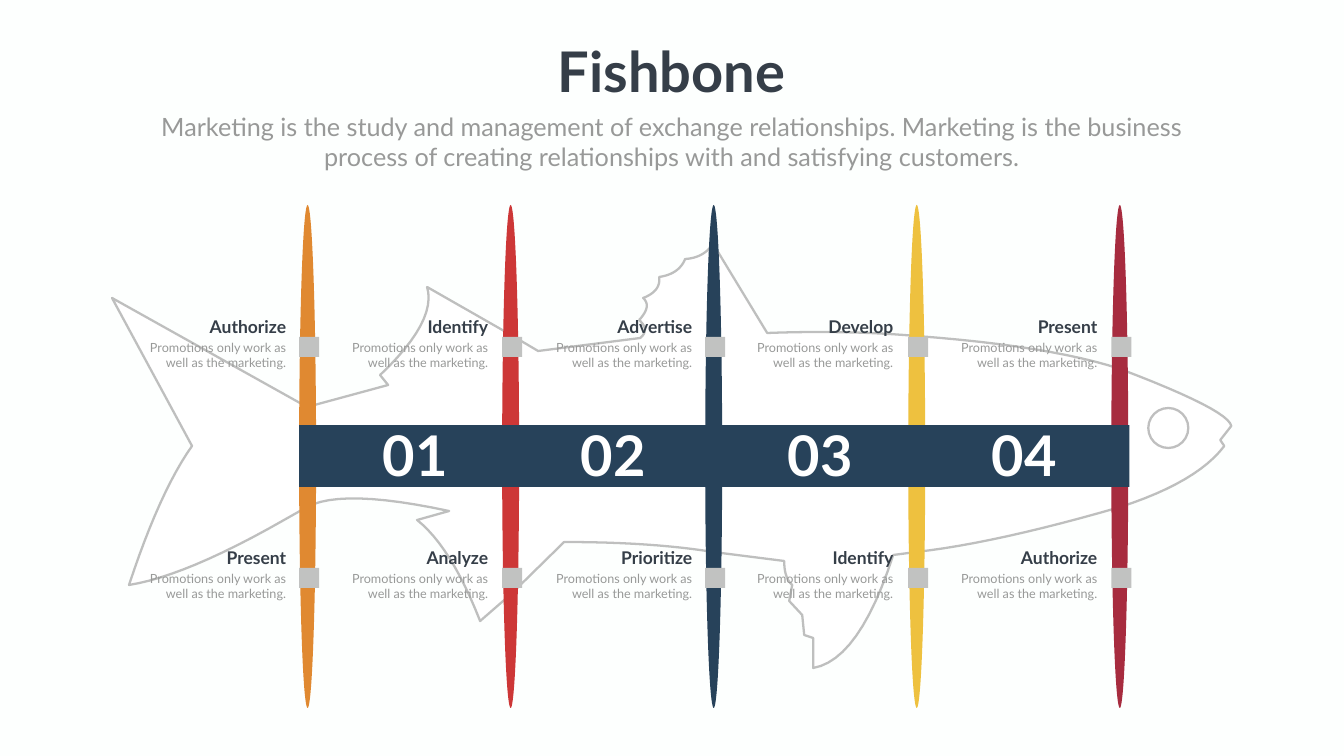
import pptx
import pptx.util
import pptx.dml.color
import pptx.enum.shapes
import pptx.enum.text
import pptx.oxml
import pptx.oxml.ns

PX = 914400 / 50.4
FONT = "Lato"
COLORS = {
    "background": "FDFFFE", "white": "FFFFFF", "outline": "808080",
    "heading": "353E48", "body": "989998", "joint": "C1C2C1",
    "orange": "E08931", "red": "CD3737", "navy": "27425A",
    "yellow": "EEC13F", "crimson": "A72C3F",
}
SHAPE = pptx.enum.shapes.MSO_SHAPE
ALIGN = pptx.enum.text.PP_ALIGN

# Upper edge (left to right) and lower edge (right to left) of each fish
# section: a pair is a straight step, four numbers are a quadratic curve
FISH = [
    # Tail
    ([(0, 54), (195, 163)],
     [(172, 276), (74, 332, 17, 341), (48, 247, 80, 202)]),
    # Rear fins
    ([(276, 141), (268, 131), (325, 77, 315, 43), (399, 91)],
     [(368, 377), (339, 303, 305, 276), (337, 267), (230, 244, 195, 263)]),
    # Back fin
    ([(426, 107), (528, 94), (538, 86, 527, 76), (540, 62, 531, 54),
      (549, 47, 547, 33), (567, 30, 573, 15), (591, 14, 601, 0)],
     [(540, 298, 452, 298), (399, 350)]),
    # Belly fin
    ([(655, 89), (735, 86, 804, 92)],
     [(781, 311), (747, 416, 701, 424), (701, 394), (692, 391), (690, 371),
      (677, 357), (680, 341), (672, 334, 672, 317), (601, 308)]),
    # Shoulder
    ([(938, 102, 1008, 125)], [(884, 299, 804, 308)]),
    # Head
    ([(1116, 166, 1119, 182)],
     [(1108, 196), (1112, 202), (1085, 238, 1008, 263)]),
]

PROMO = "Promotions only work as well as the marketing."
# Colour, right edge of the labels, upper and lower heading
BONES = [
    ("orange", 291, "Authorize", "Present"),
    ("red", 493, "Identify", "Analyze"),
    ("navy", 697, "Advertise", "Prioritize"),
    ("yellow", 898, "Develop", "Identify"),
    ("crimson", 1102, "Present", "Authorize"),
]
NUMBERS = [("01", 377), ("02", 575), ("03", 782), ("04", 986)]


def px(value):
    return pptx.util.Emu(round(value * PX))


def rgb(name):
    return pptx.dml.color.RGBColor.from_string(COLORS[name])


def add_filled(slide, kind, left, top, width, height, color):
    shape = slide.shapes.add_shape(kind, px(left), px(top), px(width), px(height))
    shape.shadow.inherit = False
    shape.fill.solid()
    shape.fill.fore_color.rgb = rgb(color)
    shape.line.fill.background()
    return shape


def add_text(slide, left, top, width, height, text, size, color,
             bold=False, align=ALIGN.CENTER, wrap=True):
    box = slide.shapes.add_textbox(px(left), px(top), px(width), px(height))
    box.text_frame.word_wrap = wrap
    paragraph = box.text_frame.paragraphs[0]
    paragraph.alignment = align
    run = paragraph.add_run()
    run.text = text
    run.font.name = FONT
    run.font.size = pptx.util.Pt(size)
    run.font.bold = bold
    run.font.color.rgb = rgb(color)


def outline(shape):
    """White inside, half transparent grey line."""
    shape.shadow.inherit = False
    shape.fill.solid()
    shape.fill.fore_color.rgb = rgb("white")
    shape.line.width = pptx.util.Pt(3.25)
    shape.line.color.rgb = rgb("outline")
    line_color = shape.line._ln.find(".//" + pptx.oxml.ns.qn("a:srgbClr"))
    line_color.append(pptx.oxml.parse_xml(
        '<a:alpha %s val="50000"/>' % pptx.oxml.ns.nsdecls("a")))


def trace(steps, samples=12):
    """Turn straight steps and curves into a list of points."""
    points = [steps[0]]
    for step in steps[1:]:
        start, control, end = points[-1], step[:2], step[-2:]
        if len(step) == 2:
            points.append(end)
            continue
        for i in range(1, samples + 1):
            t = i / samples
            points.append(tuple(
                (1 - t) ** 2 * a + 2 * t * (1 - t) * b + t * t * c
                for a, b, c in zip(start, control, end)))
    return points


def draw_header(slide, left, top, width):
    add_text(slide, left + 404, top, 241, 73, "Fishbone", 80, "heading",
             bold=True, wrap=False)
    add_text(slide, left, top + 75, width, 66,
             "Marketing is the study and management of exchange relationships. "
             "Marketing is the business process of creating relationships with "
             "and satisfying customers.", 36, "body")


def draw_fish(slide, left, top):
    for i, (upper, lower) in enumerate(FISH):
        # Neighbouring sections share the ends of their seams
        seam_left = [FISH[i - 1][0][-1][-2:]] if i else []
        seam_right = [after[1][-1][-2:] for after in FISH[i + 1:i + 2]]
        steps = [lower[-1][-2:]] + seam_left + upper + seam_right + lower
        points = [(px(left + x), px(top + y)) for x, y in trace(steps)]
        builder = slide.shapes.build_freeform(*points[0])
        builder.add_line_segments(points[1:], close=True)
        outline(builder.convert_to_shape())
    # Eye
    outline(slide.shapes.add_shape(
        SHAPE.OVAL, px(left + 1036), px(top + 164), px(40), px(40)))


def draw_label(slide, right, top, heading):
    add_text(slide, right - 131, top, 131, 26, heading, 25, "heading",
             bold=True, align=ALIGN.RIGHT)
    add_text(slide, right - 149, top + 23, 149, 36, PROMO, 18, "body",
             align=ALIGN.RIGHT)


def draw_skeleton(slide, left, top, height, pitch=203, bone=17):
    lefts = [left + i * pitch for i in range(len(BONES))]
    for x, (color, *_) in zip(lefts, BONES):
        add_filled(slide, SHAPE.OVAL, x, top, bone, height, color)
    # Spine
    add_filled(slide, SHAPE.RECTANGLE, left, top + 220,
               lefts[-1] + bone + 1 - left, 62, "navy")
    for number, x in NUMBERS:
        add_text(slide, x, top + 213, 76, 73, number, 80, "white",
                 bold=True, wrap=False)
    # Joints and labels
    for x, (_, right, *headings) in zip(lefts, BONES):
        for row, heading in enumerate(headings):
            y = top + 109 + row * 231
            add_filled(slide, SHAPE.RECTANGLE, x, y + 23, 20, 20, "joint")
            draw_label(slide, right, y, heading)


presentation = pptx.Presentation()
presentation.slide_width = pptx.util.Inches(26.66)
presentation.slide_height = pptx.util.Inches(15)
fishbone = presentation.slides.add_slide(presentation.slide_layouts[6])
fishbone.background.fill.solid()
fishbone.background.fill.fore_color.rgb = rgb("background")
draw_fish(fishbone, 112, 244)
draw_skeleton(fishbone, 299, 205, 503)
draw_header(fishbone, 147, 34, 1049)
presentation.save("out.pptx")
